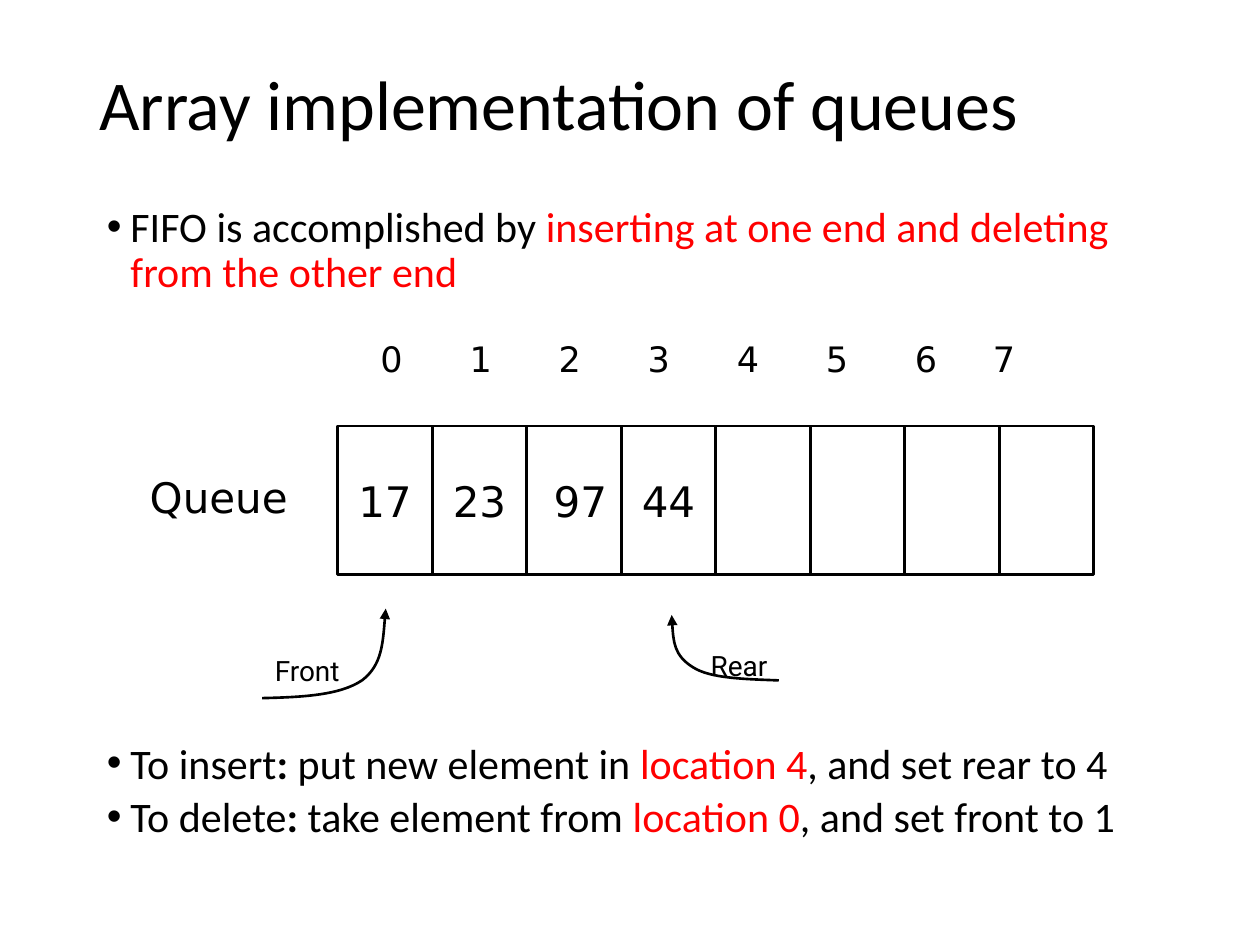
import itertools
from dataclasses import dataclass

import pptx
import pptx.dml.color
import pptx.enum.shapes
import pptx.enum.text
import pptx.oxml.ns
import pptx.util
from lxml import etree

Pt = pptx.util.Pt
RGB = pptx.dml.color.RGBColor
ALIGN = pptx.enum.text.PP_ALIGN
ANCHOR = pptx.enum.text.MSO_ANCHOR
qn = pptx.oxml.ns.qn


@dataclass(frozen=True)
class Theme:
    ink: RGB = RGB(0, 0, 0)
    accent: RGB = RGB(255, 0, 0)
    paper: RGB = RGB(255, 255, 255)
    text_font: str = "Calibri"
    array_font: str = "DejaVu Sans"
    label_font: str = "Roboto"
    title: int = 40
    body: int = 24
    index: int = 20
    label: int = 16
    line: float = 1.5


T = Theme()


def add_run(p, text, font, size, color=T.ink, bold=False):
    r = p.add_run()
    r.text = text
    r.font.name = font
    r.font.size = Pt(size)
    r.font.color.rgb = color
    r.font.bold = bold


def add_text_box(s, x, y, w, h, wrap=True):
    tf = s.shapes.add_textbox(Pt(x), Pt(y), Pt(w), Pt(h)).text_frame
    tf.word_wrap = wrap
    return tf


def add_title(s, box, text):
    sp = s.shapes.title
    sp.left, sp.top, sp.width, sp.height = (Pt(v) for v in box)
    tf = sp.text_frame
    tf.auto_size = pptx.enum.text.MSO_AUTO_SIZE.NONE
    tf.vertical_anchor = ANCHOR.MIDDLE
    p = tf.paragraphs[0]
    p.alignment = ALIGN.LEFT
    p.line_spacing = 0.9
    add_run(p, text, T.text_font, T.title)


def add_bullets(s, box, items, spacing):
    tf = add_text_box(s, *box)
    for i, runs in enumerate(items):
        p = tf.add_paragraph() if i else tf.paragraphs[0]
        pPr = p._p.get_or_add_pPr()
        pPr.set("marL", str(Pt(13.5)))
        pPr.set("indent", str(-Pt(13.5)))
        etree.SubElement(pPr, qn("a:buFont"), typeface="Arial")
        etree.SubElement(pPr, qn("a:buChar"), char="•")
        p.line_spacing = spacing
        if i:
            p.space_before = Pt(7.5)
        for text, color, bold in runs:
            add_run(p, text, T.text_font, T.body, color, bold)


def add_indices(s, box, count):
    pitch, last_pitch = 50.9, 44.6
    p = add_text_box(s, *box).paragraphs[0]
    tabs = etree.SubElement(p._p.get_or_add_pPr(), qn("a:tabLst"))
    for i in range(1, count):
        pos = i * pitch if i < count - 1 else (i - 1) * pitch + last_pitch
        etree.SubElement(tabs, qn("a:tab"), pos=str(Pt(pos)), algn="l")
    add_run(p, "\t".join(str(i) for i in range(count)), T.array_font, T.index)


def add_cell(s, x, y, w, h, value):
    sp = s.shapes.add_shape(pptx.enum.shapes.MSO_SHAPE.RECTANGLE,
                            Pt(x), Pt(y), Pt(w), Pt(h))
    sp.shadow.inherit = False
    sp.line.color.rgb = T.ink
    sp.line.width = Pt(T.line)
    if not value:
        sp.fill.background()
        return
    sp.fill.solid()
    sp.fill.fore_color.rgb = T.paper
    tf = sp.text_frame
    tf.word_wrap = False
    tf.vertical_anchor = ANCHOR.MIDDLE
    p = tf.paragraphs[0]
    p.alignment = ALIGN.CENTER
    add_run(p, value, T.array_font, T.body)


def add_queue(s, box, values, count):
    x, y, w, h = box
    array_x, array_y, cell_w, cell_h = x + 114.5, y + 54, 54, 85
    for i, value in itertools.zip_longest(range(count), values):
        width = cell_w + 7.2 if i == 2 else cell_w
        add_cell(s, array_x + i * cell_w, array_y, width, cell_h, value)
    add_indices(s, (array_x + 17.3, y, w - 131.8, 54), count)
    p = add_text_box(s, x, y + 76.3, 100, 36, wrap=False).paragraphs[0]
    add_run(p, "Queue", T.array_font, T.body)


def add_pointer(s, box, curve, label, center):
    x, y, w, h = box
    (x0, y0), *rest = [(Pt(x + fx * w), Pt(y + fy * h)) for fx, fy in curve]
    fb = s.shapes.build_freeform(x0, y0)
    fb.add_line_segments(rest, close=False)
    sp = fb.convert_to_shape()
    sp.shadow.inherit = False
    sp.fill.background()
    sp.line.color.rgb = T.ink
    sp.line.width = Pt(T.line)
    etree.SubElement(sp.line._get_or_add_ln(), qn("a:tailEnd"), type="triangle")
    lines = sp._element.xpath(".//a:lnTo")
    for first in range(0, len(lines), 3):
        bezier = lines[first]
        bezier.tag = qn("a:cubicBezTo")
        for extra in lines[first + 1:first + 3]:
            bezier.append(extra[0])
            extra.getparent().remove(extra)

    cx, cy = center
    tf = add_text_box(s, x + cx - 30, y + cy - 13, 60, 26, wrap=False)
    tf.vertical_anchor = ANCHOR.MIDDLE
    p = tf.paragraphs[0]
    p.alignment = ALIGN.CENTER
    add_run(p, label, T.label_font, T.label)


def step(name, action, place, result):
    return [(name, T.ink, False), (":", T.ink, True), (action, T.ink, False),
            (place, T.accent, False), (result, T.ink, False)]


def main():
    prs = pptx.Presentation()
    prs.slide_width, prs.slide_height = Pt(720), Pt(540)
    s = prs.slides.add_slide(prs.slide_layouts[5])
    add_title(s, (49.5, 29.5, 621, 64), "Array implementation of queues")
    add_bullets(s, (54, 114, 629, 74), [[
        ("FIFO is accomplished by ", T.ink, False),
        ("inserting at one end and deleting from the other end", T.accent, False),
    ]], 0.9)
    add_bullets(s, (54, 423.5, 654, 66), [
        step("To insert", " put new element in ", "location 4", ", and set rear to 4"),
        step("To delete", " take element from ", "location 0", ", and set front to 1"),
    ], 0.8)
    add_queue(s, (78.5, 189.4, 550, 139), ["17", "23", "97", "44"], 8)
    add_pointer(s, (383.8, 351.4, 61.2, 37.4),
                [(1, 1), (0.68, 0.98), (0.36, 0.97), (0.2, 0.8),
                 (0.02, 0.62), (0.01, 0.31), (0, 0)], "Rear", (38.5, 29))
    add_pointer(s, (149.8, 347.8, 70.6, 51.1),
                [(0, 1), (0.32, 0.99), (0.63, 0.97), (0.81, 0.8),
                 (0.97, 0.63), (0.98, 0.32), (1, 0)], "Front", (25.7, 35.5))
    prs.save("out.pptx")


if __name__ == "__main__":
    main()
